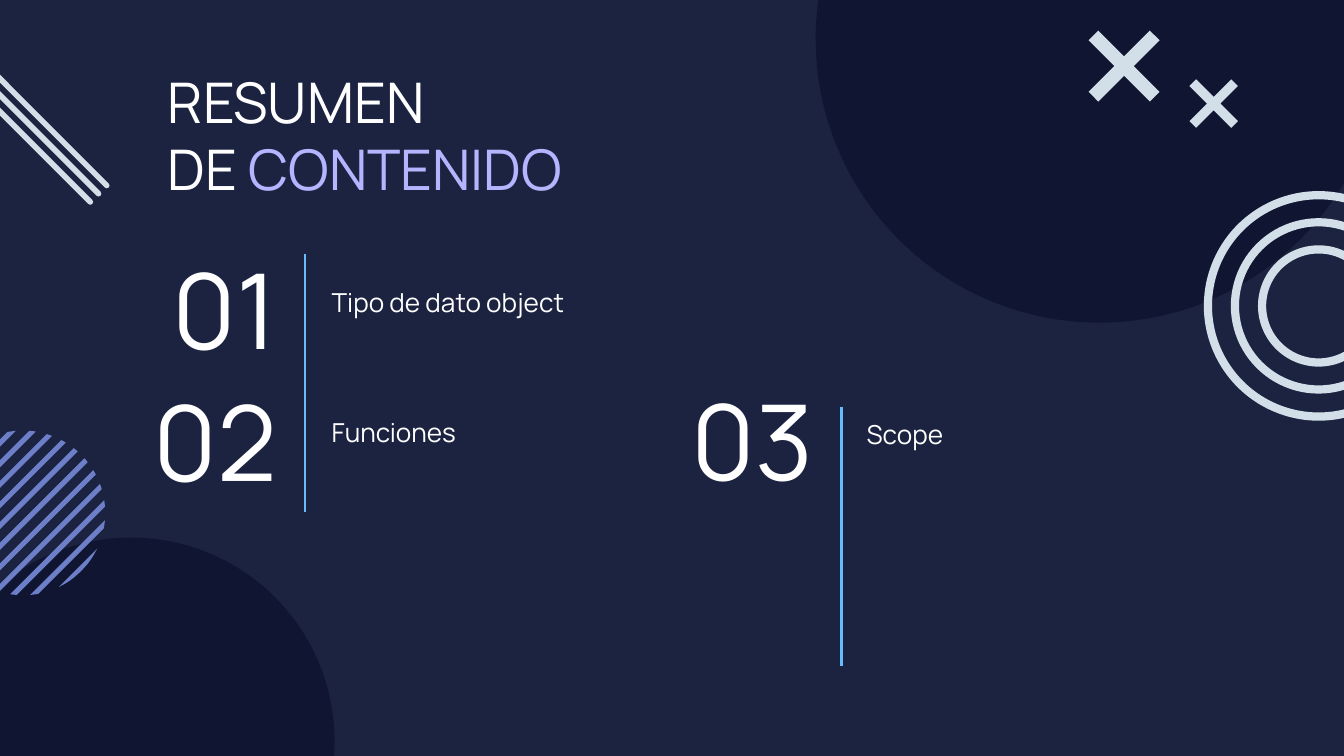
from math import acos, cos, pi, sin, sqrt

from lxml.etree import SubElement
from pptx import Presentation
from pptx.dml.color import RGBColor
from pptx.enum.shapes import MSO_CONNECTOR as Connector, MSO_SHAPE as Shape
from pptx.enum.text import MSO_ANCHOR as Anchor, PP_ALIGN as Align
from pptx.oxml.ns import qn
from pptx.util import Pt

COLORS = {
    "background": "1C2340",
    "disc": "101632",
    "stripe": "6D7FC9",
    "pale": "D2DFE9",
    "text": "FFFFFF",
    "accent": "B3B5FF",
    "rule": "67BBFF",
}


def color(name):
    return RGBColor.from_string(COLORS[name])


class SlideBuilder:
    font = "Manrope"

    def __init__(self, page):
        self.page = page
        page.background.fill.solid()
        page.background.fill.fore_color.rgb = color("background")

    def paint(self, shape, fill):
        shape.shadow.inherit = False
        shape.fill.solid()
        shape.fill.fore_color.rgb = color(fill)
        shape.line.fill.background()
        return shape

    def round_shape(self, kind, center_x, center_y, diameter, fill):
        left, top = center_x - diameter / 2, center_y - diameter / 2
        shape = self.page.shapes.add_shape(
            kind, Pt(left), Pt(top), Pt(diameter), Pt(diameter))
        return self.paint(shape, fill)

    def ring(self, center_x, center_y, diameter, thickness):
        ring = self.round_shape(Shape.DONUT, center_x, center_y, diameter, "pale")
        ring.adjustments[0] = thickness / diameter

    def polygon(self, points, fill):
        corners = [(Pt(x), Pt(y)) for x, y in points]
        builder = self.page.shapes.build_freeform(*corners[0])
        builder.add_line_segments(corners[1:], close=True)
        self.paint(builder.convert_to_shape(), fill)

    def cross(self, left, top, size, arm):
        mid, far = size / 2, size - arm
        outline = [
            (arm, 0), (0, arm), (mid - arm, mid), (0, far),
            (arm, size), (mid, mid + arm), (far, size), (size, far),
            (mid + arm, mid), (size, arm), (far, 0), (mid, mid - arm),
        ]
        self.polygon([(left + x, top + y) for x, y in outline], "pale")

    def band(self, center_x, center_y, radius, near, far, steps=8):
        """Fill the diagonal strip of a circle between two distances from its centre."""
        distances = [near + (far - near) * i / steps for i in range(steps + 1)]
        spreads = [acos(distance / radius) for distance in distances]
        angles = [pi / 4 - spread for spread in spreads]
        angles += [pi / 4 + spread for spread in reversed(spreads)]
        self.polygon([(center_x + radius * cos(angle), center_y + radius * sin(angle))
                      for angle in angles], "stripe")

    def line(self, start, end, stroke, width, cap="flat"):
        line = self.page.shapes.add_connector(
            Connector.STRAIGHT, *(Pt(value) for value in (*start, *end)))
        line.line.color.rgb = color(stroke)
        line.line.width = Pt(width)
        line.line._get_or_add_ln().set("cap", cap)
        SubElement(line._element.spPr, qn("a:effectLst"))

    def text(self, left, top, width, height, paragraphs, size,
             align=Align.LEFT, anchor=Anchor.TOP):
        """Each paragraph is a list of (wording, colour) spans."""
        box = self.page.shapes.add_textbox(Pt(left), Pt(top), Pt(width), Pt(height))
        frame = box.text_frame
        frame.word_wrap = True
        frame.vertical_anchor = anchor
        frame.margin_left = frame.margin_right = Pt(7.2)
        frame.margin_top = frame.margin_bottom = Pt(7.2)
        for index, spans in enumerate(paragraphs):
            para = frame.add_paragraph() if index else frame.paragraphs[0]
            para.alignment = align
            for wording, name in spans:
                span = para.add_run()
                span.text = wording
                span.font.name = self.font
                span.font.size = Pt(size)
                span.font.color.rgb = color(name)

    def number(self, left, top, wording):
        self.text(left, top, 104.4, 18.7, [[(wording, "text")]], 56,
                  Align.RIGHT, Anchor.MIDDLE)

    def topic(self, left, top, wording):
        self.text(left, top, 185, 31.7, [[(wording, "text")]], 14)


def main():
    deck = Presentation()
    deck.slide_width, deck.slide_height = Pt(720), Pt(405)
    slide = SlideBuilder(deck.slides.add_slide(deck.slide_layouts[6]))

    # Dark discs
    slide.round_shape(Shape.OVAL, 70.2, 397, 218, "disc")
    slide.round_shape(Shape.OVAL, 589, 20.9, 304, "disc")

    # Striped circle
    radius = 44.1
    for index in range(11):
        near = (-51.6 + 11.05 * index) / sqrt(2)
        slide.band(12.3, 274.8, radius, near, min(near + 2.7, radius))

    # Concentric rings
    for diameter in (123, 94, 65):
        slide.ring(706.4, 163.9, diameter, 4.4)

    # Diagonal strokes
    for index in range(3):
        shift = 4.4 * index
        slide.line((-24.4 - shift, 17.8 + shift), (57.2 - shift, 99.4 + shift),
                   "pale", 3, "rnd")

    # Crosses
    slide.cross(637.2, 42.5, 26, 3.6)
    slide.cross(583.2, 16.4, 38, 5.2)

    # Title
    slide.text(82.8, 28.8, 291.6, 70.6,
               [[("RESUMEN", "text")],
                [("DE ", "text"), ("CONTENIDO", "accent")]], 30)

    # Numbers and topics
    for left, top, wording in ((51.1, 155.5, "01"), (51.1, 226, "02"),
                               (338.4, 225.4, "03")):
        slide.number(left, top, wording)
    for left, top, wording in ((170.6, 146.2, "Tipo de dato object"),
                               (170.6, 216, "Funciones"), (457.2, 216.7, "Scope")):
        slide.topic(left, top, wording)

    # Vertical rules
    for x, top in ((163.4, 136), (450.7, 218.2)):
        slide.line((x, top), (x, top + 138.4), "rule", 1.5)

    deck.save("out.pptx")


if __name__ == "__main__":
    main()
